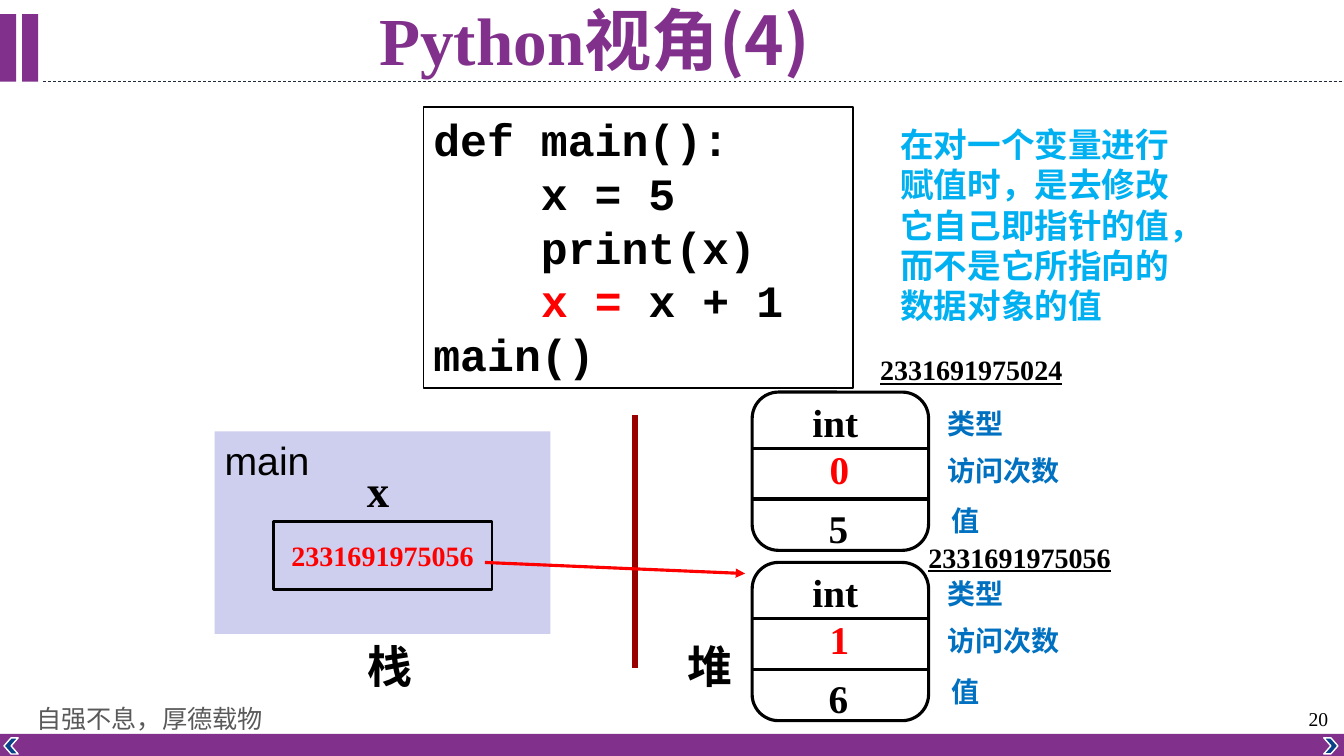
"""Build the slide on Python variables, the stack and the heap."""
from dataclasses import dataclass
from typing import Optional

from lxml.etree import SubElement
from pptx import Presentation
from pptx.dml.color import RGBColor
from pptx.enum.dml import MSO_LINE
from pptx.enum.shapes import MSO_CONNECTOR, MSO_SHAPE
from pptx.enum.text import MSO_ANCHOR, MSO_AUTO_SIZE, PP_ALIGN
from pptx.oxml.ns import qn
from pptx.util import Emu, Pt

SCALE = 9144
PURPLE = RGBColor(0x81, 0x30, 0x8C)
NAVY = RGBColor(0x0B, 0x41, 0x89)
SLATE = RGBColor(0x1F, 0x2B, 0x37)
GREY = RGBColor(0x59, 0x59, 0x59)
LILAC = RGBColor(0xCE, 0xCE, 0xEF)
MAROON = RGBColor(0x99, 0x00, 0x00)
RED = RGBColor(0xFF, 0x00, 0x00)
BLUE = RGBColor(0x00, 0x70, 0xC0)
SKY = RGBColor(0x00, 0xB0, 0xF0)
BLACK = RGBColor(0x00, 0x00, 0x00)
WHITE = RGBColor(0xFF, 0xFF, 0xFF)
SERIF, SANS, MONO = "Times New Roman", "Arial", "Courier New"
HAN = "Noto Sans CJK SC"


@dataclass(frozen=True)
class Style:
    size: int
    face: str = SERIF
    color: RGBColor = BLACK
    bold: bool = True
    under: bool = False


@dataclass(frozen=True)
class Run:
    text: str
    style: Style


@dataclass(frozen=True)
class Label:
    left: int
    top: int
    width: int
    height: int
    run: Run
    wrap: bool = False


@dataclass(frozen=True)
class Block:
    left: int
    top: int
    width: int
    height: int
    kind: MSO_SHAPE = MSO_SHAPE.RECTANGLE
    fill: Optional[RGBColor] = None
    line: Optional[RGBColor] = None
    weight: float = 1
    turn: int = 0


@dataclass(frozen=True)
class Rule:
    start: tuple[int, int]
    end: tuple[int, int]
    color: RGBColor = BLACK
    weight: float = 2.25
    dash: bool = False
    arrow: bool = False


@dataclass(frozen=True)
class Cell:
    top: int
    count: str
    value: str


def px(*nums: int) -> list[Emu]:
    """Turn px into EMU."""
    return [Emu(n * SCALE) for n in nums]


def write(para, runs: list[Run]) -> None:
    """Add formatted runs to a paragraph."""
    for item in runs:
        run, style = para.add_run(), item.style
        run.text = item.text
        look = {"size": Pt(style.size), "bold": style.bold,
                "underline": style.under, "name": style.face}
        for key, val in look.items():
            setattr(run.font, key, val)
        run.font.color.rgb = style.color
        east = HAN if style.face == SERIF else style.face
        SubElement(run.font._element, qn("a:ea")).set("typeface", east)


def setup(frame, **look) -> None:
    """Set the format values of a text frame."""
    for key, val in look.items():
        setattr(frame, key, val)


def add_label(shapes, label: Label) -> None:
    """Draw one line or block of plain text."""
    box = shapes.add_textbox(*px(label.left, label.top, label.width, label.height))
    setup(box.text_frame, word_wrap=label.wrap,
          auto_size=MSO_AUTO_SIZE.SHAPE_TO_FIT_TEXT)
    write(box.text_frame.paragraphs[0], [label.run])


def add_block(shapes, block: Block):
    """Draw a preset shape."""
    shape = shapes.add_shape(
        block.kind, *px(block.left, block.top, block.width, block.height))
    shape.shadow.inherit = False
    shape.rotation = block.turn
    if block.fill is None:
        shape.fill.background()
    else:
        shape.fill.solid()
        shape.fill.fore_color.rgb = block.fill
    if block.line is None:
        shape.line.fill.background()
    else:
        shape.line.color.rgb = block.line
        shape.line.width = Pt(block.weight)
    return shape


def add_rule(shapes, rule: Rule) -> None:
    """Draw a straight line or arrow."""
    line = shapes.add_connector(MSO_CONNECTOR.STRAIGHT, *px(*rule.start, *rule.end))
    line.line.color.rgb = rule.color
    line.line.width = Pt(rule.weight)
    if rule.dash:
        line.line.dash_style = MSO_LINE.DASH
    if rule.arrow:
        SubElement(line.line._get_or_add_ln(), qn("a:tailEnd")).set("type", "triangle")
    SubElement(line._element.spPr, qn("a:effectLst"))


def add_cell(shapes, cell: Cell) -> None:
    """Draw a heap object with its type, count and value."""
    top = cell.top
    add_block(shapes, Block(746, top, 175, 157, MSO_SHAPE.ROUNDED_RECTANGLE,
                            line=BLACK, weight=2.25))
    for gap in (56, 106):
        add_rule(shapes, Rule((746, top + gap), (921, top + gap)))
    big, note = Style(28), Style(20, HAN, BLUE)
    for label in (
        Label(796, top + 1, 66, 57, Run("int", big)),
        Label(813, top + 48, 40, 57, Run(cell.count, Style(28, color=RED))),
        Label(812, top + 106, 40, 57, Run(cell.value, big)),
        Label(930, top + 9, 77, 44, Run("类型", note)),
        Label(930, top + 56, 133, 44, Run("访问次数", note)),
        Label(934, top + 106, 48, 44, Run("值", note)),
    ):
        add_label(shapes, label)


def add_code(shapes) -> None:
    """Draw the framed program."""
    code = Style(32, MONO)
    lines = [
        [Run("def main():", code)],
        [Run("    x = 5", code)],
        [Run("    print(x)", code)],
        [Run("    ", code), Run("x =", Style(32, MONO, RED)), Run(" x + 1", code)],
        [Run("main()", code)],
    ]
    frame = add_block(shapes, Block(420, 106, 426, 279, line=BLACK, weight=1.25)).text_frame
    setup(frame, word_wrap=True, vertical_anchor=MSO_ANCHOR.TOP,
          auto_size=MSO_AUTO_SIZE.SHAPE_TO_FIT_TEXT)
    for num, runs in enumerate(lines):
        para = frame.add_paragraph() if num else frame.paragraphs[0]
        para.alignment = PP_ALIGN.LEFT
        write(para, runs)


def add_title(title) -> None:
    """Place and format the title."""
    spot = dict(zip(("left", "top", "width", "height"), px(44, 5, 1091, 76)))
    for key, val in spot.items():
        setattr(title, key, val)
    setup(title.text_frame, word_wrap=True, vertical_anchor=MSO_ANCHOR.MIDDLE,
          auto_size=MSO_AUTO_SIZE.NONE)
    para = title.text_frame.paragraphs[0]
    setup(para, alignment=PP_ALIGN.CENTER, line_spacing=0.9)
    write(para, [Run("Python", Style(48, SERIF, PURPLE)),
                 Run("视角(4)", Style(48, HAN, PURPLE))])


def main() -> None:
    """Build and save the slide."""
    deck = Presentation()
    deck.slide_width, deck.slide_height = px(1333, 750)
    slide = deck.slides.add_slide(deck.slide_layouts[5])
    shapes = slide.shapes
    add_title(shapes.title)

    add_rule(shapes, Rule((43, 81), (1333, 81), SLATE, 0.5, dash=True))
    for block in (
        Block(0, 14, 16, 67, fill=PURPLE),
        Block(22, 14, 16, 67, fill=PURPLE),
        Block(0, 728, 1333, 23, fill=PURPLE),
        Block(1313, 732, 14, 16, MSO_SHAPE.CHEVRON, NAVY, WHITE),
        Block(4, 732, 14, 16, MSO_SHAPE.CHEVRON, NAVY, WHITE, turn=180),
        Block(213, 428, 333, 201, fill=LILAC),
    ):
        add_block(shapes, block)

    ref = add_block(shapes, Block(271, 517, 217, 68, line=BLACK, weight=2)).text_frame
    setup(ref, word_wrap=True, vertical_anchor=MSO_ANCHOR.MIDDLE)
    ref.paragraphs[0].alignment = PP_ALIGN.CENTER
    write(ref.paragraphs[0], [Run("2331691975056", Style(20, color=RED))])

    add_code(shapes)
    add_rule(shapes, Rule((630, 412), (630, 663), MAROON, 4.25))
    for cell in (Cell(389, "0", "5"), Cell(558, "1", "6")):
        add_cell(shapes, cell)

    head, link = Style(32), Style(20, under=True)
    advice = "在对一个变量进行赋值时，是去修改它自己即指针的值，而不是它所指向的数据对象的值"
    for label in (
        Label(26, 693, 246, 40, Run("自强不息，厚德载物", Style(18, HAN, GREY, False)), True),
        Label(1288, 696, 45, 34, Run("20", Style(14, bold=False)), True),
        Label(213, 428, 183, 57, Run("main", Style(28, SANS, bold=False)), True),
        Label(354, 454, 43, 64, Run("x", head)),
        Label(355, 629, 65, 64, Run("栈", head)),
        Label(672, 629, 65, 64, Run("堆", head)),
        Label(863, 345, 203, 44, Run("2331691975024", link)),
        Label(911, 531, 203, 44, Run("2331691975056", link)),
        Label(883, 118, 305, 212, Run(advice, Style(24, HAN, SKY)), True),
    ):
        add_label(shapes, label)
    add_rule(shapes, Rule((481, 558), (739, 569), RED, arrow=True))
    deck.save("out.pptx")


if __name__ == "__main__":
    main()
